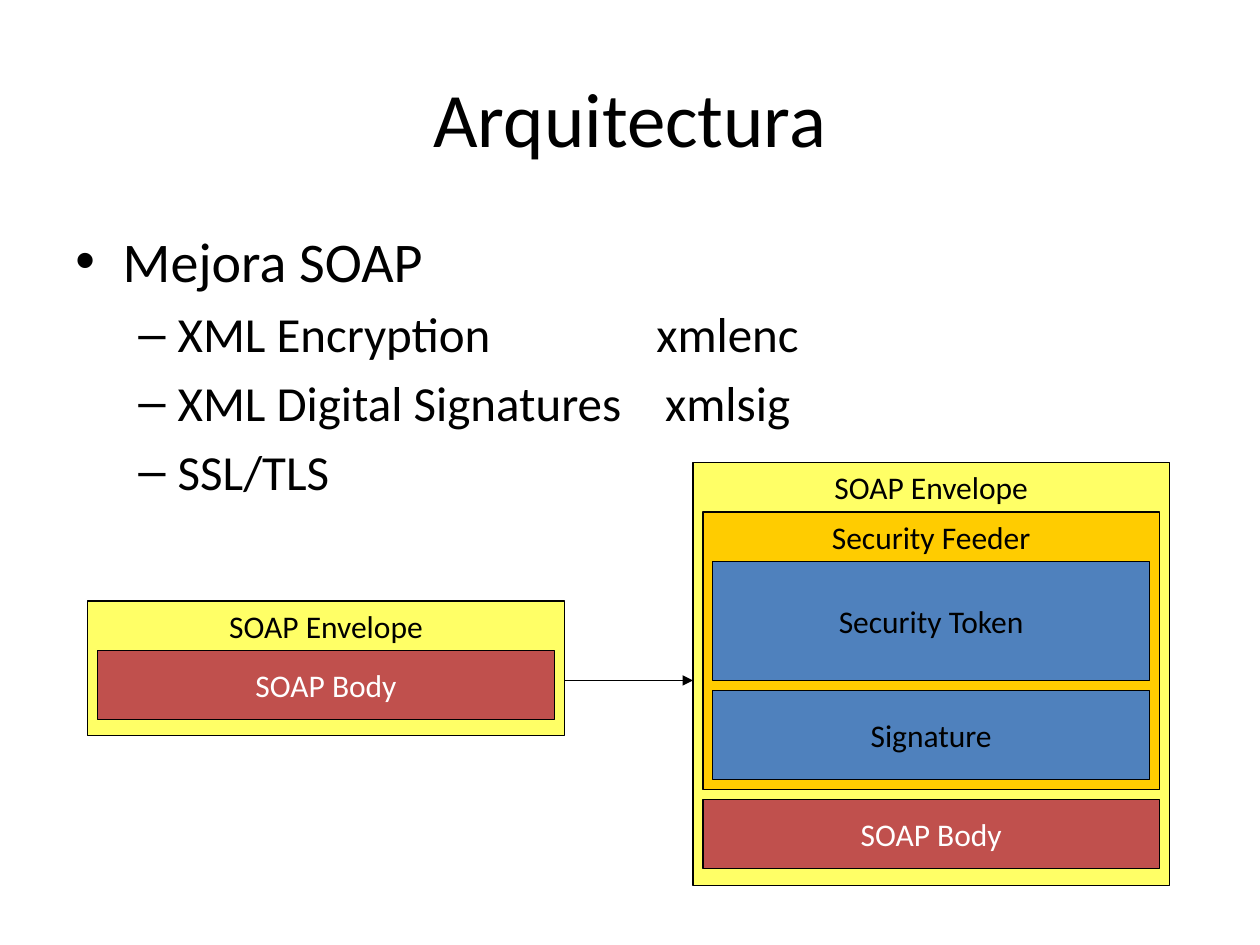
from pptx import Presentation
from pptx.dml.color import RGBColor
from pptx.enum.shapes import MSO_CONNECTOR, MSO_SHAPE
from pptx.enum.text import MSO_ANCHOR, PP_ALIGN
from pptx.oxml.ns import qn
from pptx.util import Pt
from lxml import etree

RECTANGLE, STRAIGHT = MSO_SHAPE.RECTANGLE, MSO_CONNECTOR.STRAIGHT
TOP, MIDDLE = MSO_ANCHOR.TOP, MSO_ANCHOR.MIDDLE
LEFT, CENTER = PP_ALIGN.LEFT, PP_ALIGN.CENTER

BLACK, WHITE = "000000", "FFFFFF"
YELLOW, ORANGE, RED, BLUE = "FFFF66", "FFCC00", "C0504D", "4F81BD"

GAP = 5.67      # margin between nested blocks
HEADER = 28.35  # room for the caption of an enclosing block
ENVELOPE_WIDTH = 272.2
BODY_HEIGHT = 39.6


def color(value):
    return RGBColor.from_string(value)


def add_xml(parent, tag, **attributes):
    return etree.SubElement(parent, qn(tag), attributes)


class SlideBuilder:
    font = "Calibri"
    line_width = 0.75

    def __init__(self, slide):
        self.slide = slide

    def add_text(self, paragraph, text, size, ink=BLACK, align=LEFT):
        paragraph.alignment = align
        run = paragraph.add_run()
        run.text = text
        formats = {"name": self.font, "size": Pt(size)}
        for attribute, value in formats.items():
            setattr(run.font, attribute, value)
        run.font.color.rgb = color(ink)

    def text_box(self, left, top, width, height, anchor=TOP):
        box = self.slide.shapes.add_textbox(Pt(left), Pt(top), Pt(width), Pt(height))
        frame = box.text_frame
        frame.word_wrap = True
        frame.vertical_anchor = anchor
        return frame

    def title(self, text, *place):
        frame = self.text_box(*place, anchor=MIDDLE)
        self.add_text(frame.paragraphs[0], text, 44, align=CENTER)

    def bullets(self, items, *place):
        frame = self.text_box(*place)
        styles = [("•", 32, 27, 27), ("–", 28, 58.5, 22.5)]
        for index, (level, text, tab) in enumerate(items):
            mark, size, margin, hanging = styles[level]
            paragraph = frame.add_paragraph() if index else frame.paragraphs[0]
            paragraph.level = level
            self.add_text(paragraph, text, size)
            properties = paragraph._p.get_or_add_pPr()
            properties.set("marL", str(Pt(margin)))
            properties.set("indent", str(-Pt(hanging)))
            spacing = add_xml(properties, "a:spcBef")
            add_xml(spacing, "a:spcPct", val="20000")
            add_xml(properties, "a:buFont", typeface="Arial")
            add_xml(properties, "a:buChar", char=mark)
            if tab:
                stops = add_xml(properties, "a:tabLst")
                add_xml(stops, "a:tab", pos=str(Pt(tab)), algn="l")

    def block(self, text, left, top, width, height, fill, ink=BLACK, anchor=MIDDLE):
        shape = self.slide.shapes.add_shape(
            RECTANGLE, Pt(left), Pt(top), Pt(width), Pt(height))
        shape.shadow.inherit = False
        shape.fill.solid()
        shape.fill.fore_color.rgb = color(fill)
        shape.line.color.rgb = color(BLACK)
        shape.line.width = Pt(self.line_width)
        frame = shape.text_frame
        frame.word_wrap = False
        frame.vertical_anchor = anchor
        self.add_text(frame.paragraphs[0], text, 18, ink, CENTER)

    def envelope(self, left, top, height, body_top):
        self.block("SOAP Envelope", left, top, ENVELOPE_WIDTH, height, YELLOW, anchor=TOP)
        self.block("SOAP Body", left + GAP, body_top, ENVELOPE_WIDTH - 2 * GAP,
                   BODY_HEIGHT, RED, WHITE)

    def arrow(self, start_x, end_x, y):
        connector = self.slide.shapes.add_connector(
            STRAIGHT, Pt(start_x), Pt(y), Pt(end_x), Pt(y))
        connector.line.color.rgb = color(BLACK)
        connector.line.width = Pt(self.line_width)
        properties = connector._element.spPr
        add_xml(properties.find(qn("a:ln")), "a:tailEnd", type="triangle")
        add_xml(properties, "a:effectLst")


def main():
    presentation = Presentation()
    presentation.slide_width, presentation.slide_height = Pt(720), Pt(540)
    builder = SlideBuilder(presentation.slides.add_slide(presentation.slide_layouts[6]))

    # Heading and list
    builder.title("Arquitectura", 36, 21.6, 648, 90)
    builder.bullets([
        (0, "Mejora SOAP", None),
        (1, "XML Encryption\txmlenc", 332),
        (1, "XML Digital Signatures\txmlsig", 337),
        (1, "SSL/TLS", None),
    ], 36, 126, 648, 356.4)

    # Secured message: envelope, security feeder with its parts, body
    secured_left, secured_top = 396, 264.2
    feeder_left, feeder_top = secured_left + GAP, secured_top + HEADER
    feeder_width, feeder_height = ENVELOPE_WIDTH - 2 * GAP, 158.7
    builder.envelope(secured_left, secured_top, 241.8, feeder_top + feeder_height + GAP)
    builder.block("Security Feeder", feeder_left, feeder_top, feeder_width,
                  feeder_height, ORANGE, anchor=TOP)
    part_top = feeder_top + HEADER
    for name, height in [("Security Token", 68), ("Signature", 51)]:
        builder.block(name, feeder_left + GAP, part_top, feeder_width - 2 * GAP,
                      height, BLUE)
        part_top += height + GAP

    # Plain message and the step to the secured one
    plain_left, plain_top = 50.2, 343.4
    builder.envelope(plain_left, plain_top, 77, plain_top + HEADER)
    builder.arrow(plain_left + ENVELOPE_WIDTH, secured_left, 388.8)

    presentation.save("out.pptx")


if __name__ == "__main__":
    main()
